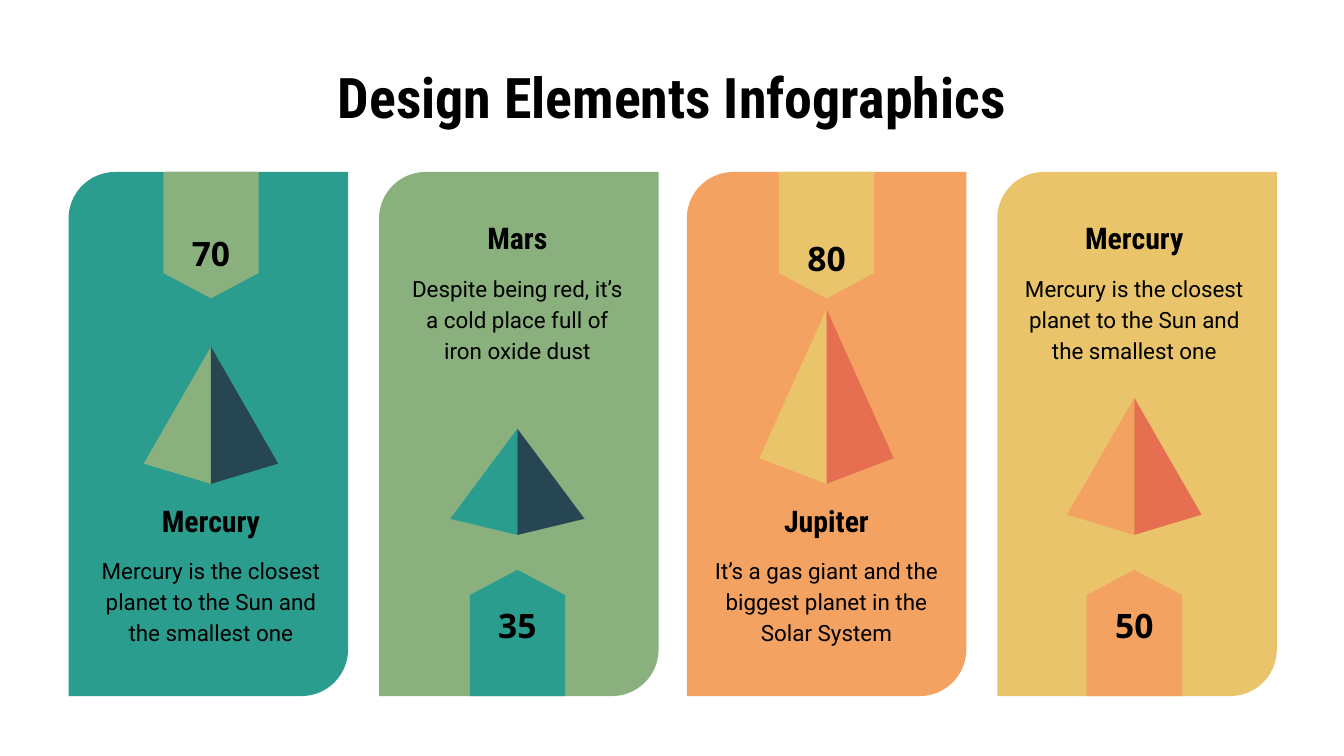
from pptx import Presentation
from pptx.dml.color import RGBColor
from pptx.enum.shapes import MSO_SHAPE as Shape
from pptx.enum.text import MSO_ANCHOR as Anchor, PP_ALIGN as Align
from pptx.util import Inches, Pt

# Content
TITLE = "Design Elements Infographics"
TEAL, GREEN, ORANGE, YELLOW = "2A9D8F", "8AB17D", "F4A261", "E9C46A"
NAVY, RED = "264653", "E76F51"
MERCURY = "Mercury is the closest planet to the Sun and the smallest one"
# name, text, number, number top, card, accent, dark side, height, rise, tag on top
CARDS = [
    ("Mercury", MERCURY, "70", 1.69, TEAL, GREEN, NAVY, 1.02, 0.15, True),
    ("Mars", "Despite being red, it’s a cold place full of iron oxide dust",
     "35", 4.46, GREEN, TEAL, NAVY, 0.79, 0.12, False),
    ("Jupiter", "It’s a gas giant and the biggest planet in the Solar System",
     "80", 1.73, ORANGE, YELLOW, RED, 1.3, 0.19, True),
    ("Mercury", MERCURY, "50", 4.46, YELLOW, ORANGE, RED, 1.02, 0.15, False),
]

# Grid, in inches
WIDE = 10
HIGH = WIDE * 9 / 16
LEFTS = (0.51, 2.82, 5.11, 7.42)    # cards
AXES = (1.57, 3.85, 6.15, 8.44)     # centre lines of what the cards hold
TOP, CARD_W, CARD_H = 1.28, 2.08, 3.9
TAG_W, TAG_H = 0.71, 0.94
HALF = 0.5                          # half the width of a pyramid

deck = Presentation()
deck.slide_width, deck.slide_height = Inches(WIDE), Inches(HIGH)
slide = deck.slides.add_slide(deck.slide_layouts[6])
shapes = slide.shapes


def paint(shape, color):
    shape.shadow.inherit = False
    shape.fill.solid()
    shape.fill.fore_color.rgb = RGBColor.from_string(color)
    shape.line.fill.background()
    return shape


def block(kind, x, y, w, h, color):
    return paint(shapes.add_shape(kind, *map(Inches, (x, y, w, h))), color)


def label(text, mid, y, w, h, size, font, bold=True, pad=(0.1, 0.1), lead=None):
    frame = shapes.add_textbox(*map(Inches, (mid - w / 2, y, w, h))).text_frame
    frame.word_wrap = True
    frame.vertical_anchor = Anchor.MIDDLE
    frame.margin_left = frame.margin_right = Inches(pad[0])
    frame.margin_top = frame.margin_bottom = Inches(pad[1])
    para = frame.paragraphs[0]
    para.alignment = Align.CENTER
    if lead:
        para.line_spacing = lead
    run = para.add_run()
    run.text = text
    run.font.size, run.font.name, run.font.bold = Pt(size), font, bold
    run.font.color.rgb = RGBColor.from_string("000000")


def face(mid, side, base, tall, rise, color):
    points = [(mid + side, base - rise), (mid, base), (mid, base - tall)]
    start, *rest = [(Inches(x), Inches(y)) for x, y in points]
    pen = shapes.build_freeform(*start)
    pen.add_line_segments(rest, close=True)
    paint(pen.convert_to_shape(), color)


# Title
label(TITLE, WIDE / 2, 0.45, 9, 0.53, 30, "Roboto Condensed")

# Cards
for left, mid, card in zip(LEFTS, AXES, CARDS):
    name, text, num, num_y, back, accent, dark, tall, rise, up = card
    panel = block(Shape.ROUND_2_DIAG_RECTANGLE, left, TOP, CARD_W, CARD_H, back)
    panel.adjustments[0], panel.adjustments[1] = 0.167, 0

    # Number tag, hanging from the top or standing on the bottom
    tag_y = TOP if up else TOP + CARD_H - TAG_H
    tag = block(Shape.FLOWCHART_OFFPAGE_CONNECTOR, mid - TAG_W / 2, tag_y,
                TAG_W, TAG_H, accent)
    tag.rotation = 0 if up else 180
    label(num, mid, num_y, 0.93, 0.38, 18, "Open Sans")

    # Name and text
    name_y = 3.69 if up else 1.59
    label(name, mid, name_y, CARD_W, 0.36, 16, "Roboto Condensed", pad=(0.2, 0))
    label(text, mid, name_y + 0.36, CARD_W, 0.82, 12, "Roboto", False, (0.2, 0), 1.15)

    # Pyramid
    base = 3.6 if up else 3.98
    for side, color in ((-HALF, accent), (HALF, dark)):
        face(mid, side, base, tall, rise, color)

deck.save("out.pptx")
